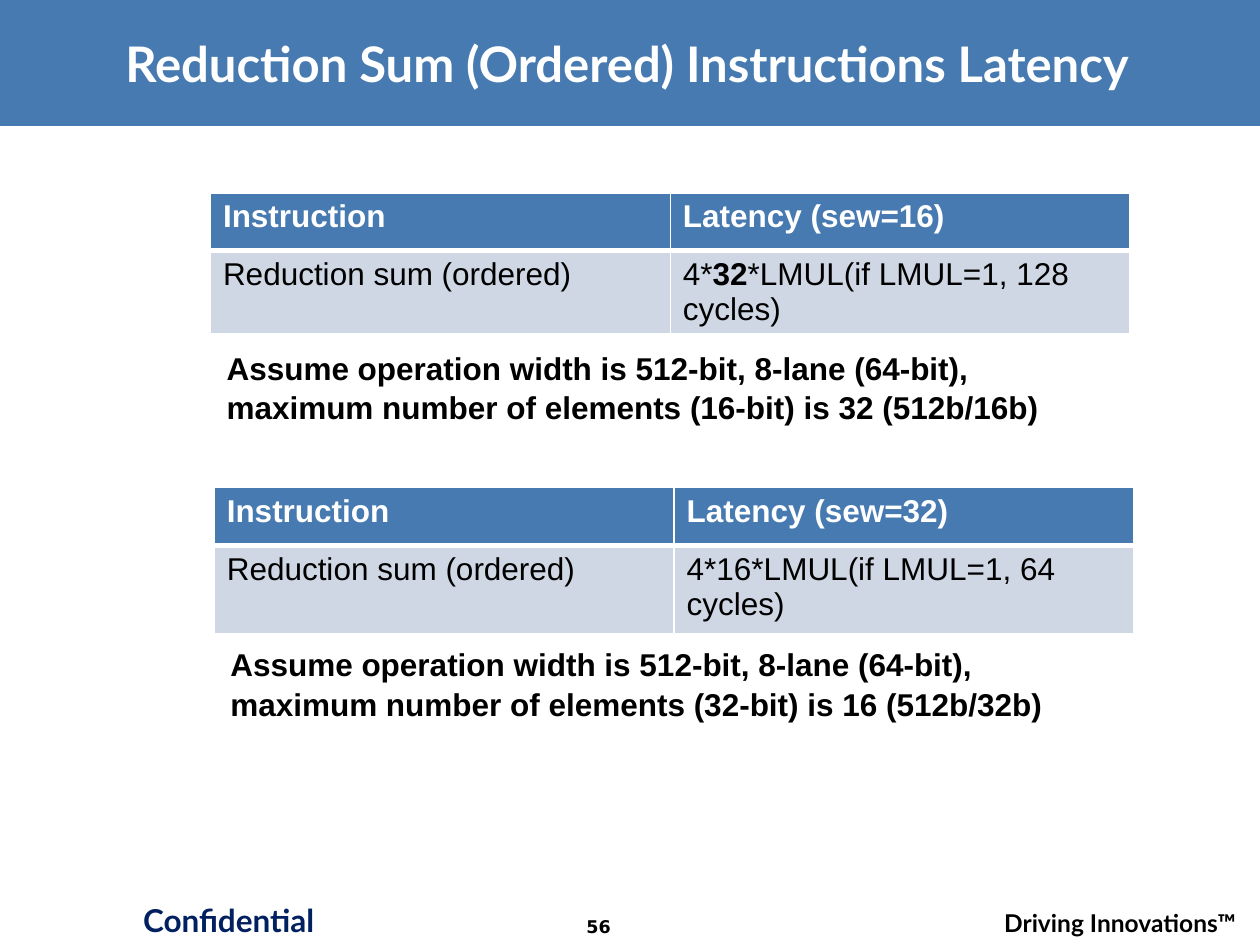
from lxml.etree import SubElement
from pptx import Presentation
from pptx.dml.color import RGBColor
from pptx.enum.shapes import MSO_SHAPE
from pptx.enum.text import MSO_ANCHOR, PP_ALIGN
from pptx.oxml.ns import qn
from pptx.util import Inches, Pt

BLUE, PALE, WHITE, BLACK, NAVY = "477AB1", "CFD7E4", "FFFFFF", "000000", "002060"


def rgb(value):
    return RGBColor.from_string(value)


def set_text(tf, runs, color, align=PP_ALIGN.LEFT, **fmt):
    tf.word_wrap = True
    p = tf.paragraphs[0]
    p.alignment = align
    for text, bold in runs:
        r = p.add_run()
        r.text = text
        for name, value in {"name": "Arial", "size": Pt(18), "bold": bold, **fmt}.items():
            setattr(r.font, name, value)
        r.font.color.rgb = rgb(color)
    return p


def add_text(s, box, text, color=BLACK, **fmt):
    tf = s.shapes.add_textbox(*map(Inches, box)).text_frame
    return set_text(tf, [(text, True)], color, **fmt)


def add_shadow(r):
    effects = SubElement(r.font._element, qn("a:effectLst"))
    r.font._element.insert(1, effects)
    shadow = SubElement(effects, qn("a:outerShdw"), dist="38100", dir="2700000", algn="tl")
    SubElement(shadow, qn("a:srgbClr"), val=BLACK)


def add_header(s, box, text):
    band = s.shapes.add_shape(MSO_SHAPE.RECTANGLE, *map(Inches, box))
    band.shadow.inherit = False
    band.fill.solid()
    band.fill.fore_color.rgb = rgb(BLUE)
    band.line.fill.background()
    s.shapes._spTree.insert(2, band._element)

    left, top, width, height = box
    title = s.shapes.title
    place = {"left": left + 0.22, "top": top + 0.17, "width": width - 0.49, "height": height - 0.34}
    for name, value in place.items():
        setattr(title, name, Inches(value))
    tf = title.text_frame
    tf.vertical_anchor = MSO_ANCHOR.MIDDLE
    p = set_text(tf, [(text, True)], WHITE, PP_ALIGN.CENTER, name="Lato", size=Pt(28))
    add_shadow(p.runs[0])


def set_borders(cell, bottom):
    tcPr = cell._tc.get_or_add_tcPr()
    for i, (side, width) in enumerate({"L": 1, "R": 1, "T": 1, "B": bottom}.items()):
        ln = SubElement(tcPr, qn(f"a:ln{side}"), w=str(Pt(width)))
        tcPr.insert(i, ln)
        SubElement(SubElement(ln, qn("a:solidFill")), qn("a:srgbClr"), val=WHITE)


def add_latency(s, box, row_heights, sew, latency, note):
    left, top, width, height = box
    table = s.shapes.add_table(2, 2, *map(Inches, (left, top, width, sum(row_heights)))).table
    rows = [
        ([[("Instruction", True)], [(f"Latency (sew={sew})", True)]], BLUE, WHITE, 3),
        ([[("Reduction sum (ordered)", False)], latency], PALE, BLACK, 1),
    ]
    for i, (cells, fill, color, bottom) in enumerate(rows):
        table.rows[i].height = Inches(row_heights[i])
        for j, runs in enumerate(cells):
            cell = table.cell(i, j)
            cell.fill.solid()
            cell.fill.fore_color.rgb = rgb(fill)
            set_borders(cell, bottom)
            set_text(cell.text_frame, runs, color)
    p = add_text(s, (left + 0.03, top + height - 0.71, width - 0.06, 0.71), note)
    p.line_spacing = 1.04


def add_footer(s, box):
    left, top, width, height = box
    add_text(s, (left + 0.94, top, 1.75, height), "Confidential", NAVY,
             align=PP_ALIGN.CENTER, name="Lato")
    add_text(s, (left + 4.29, top + 0.12, 0.92, 0.28), "56",
             align=PP_ALIGN.CENTER, name="DejaVu Sans", size=Pt(10))
    add_text(s, (left + width - 2.46, top + 0.06, 2.37, 0.27), "Driving Innovations™",
             align=PP_ALIGN.RIGHT, name="Lato", size=Pt(14))


def main():
    prs = Presentation()
    prs.slide_width, prs.slide_height = Inches(10), Inches(7.5)
    s = prs.slides.add_slide(prs.slide_layouts[5])
    add_header(s, (0, 0, 10, 1), "Reduction Sum (Ordered) Instructions Latency")
    note = ("Assume operation width is 512-bit, 8-lane (64-bit), "
            "maximum number of elements ({0}-bit) is {1} (512b/{0}b)")
    add_latency(s, (1.67, 1.53, 7.3, 1.89), (0.46, 0.65), 16,
                [("4*", False), ("32", True), ("*LMUL(if LMUL=1, 128 cycles)", False)],
                note.format(16, 32))
    add_latency(s, (1.7, 3.87, 7.3, 1.9), (0.46, 0.7), 32,
                [("4*16*LMUL(if LMUL=1, 64 cycles)", False)], note.format(32, 16))
    add_footer(s, (0, 7.1, 10, 0.4))
    prs.save("out.pptx")


if __name__ == "__main__":
    main()
